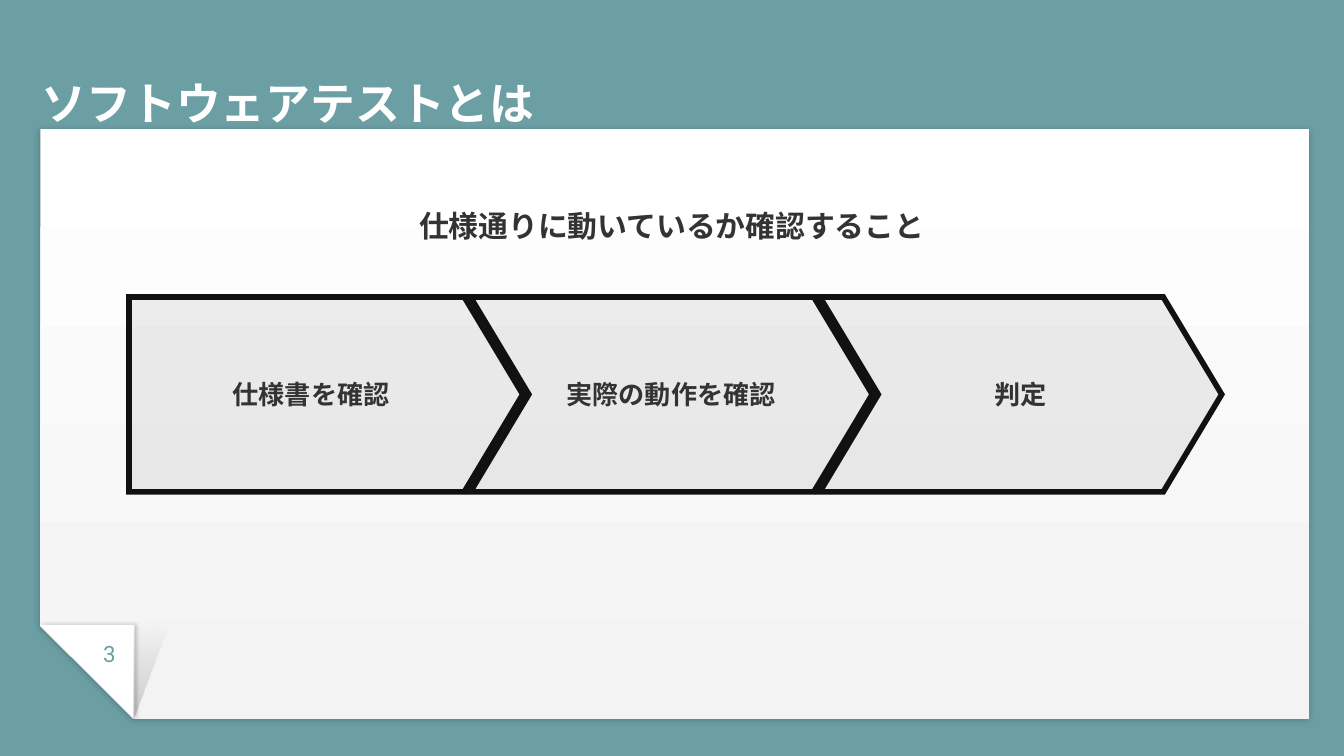
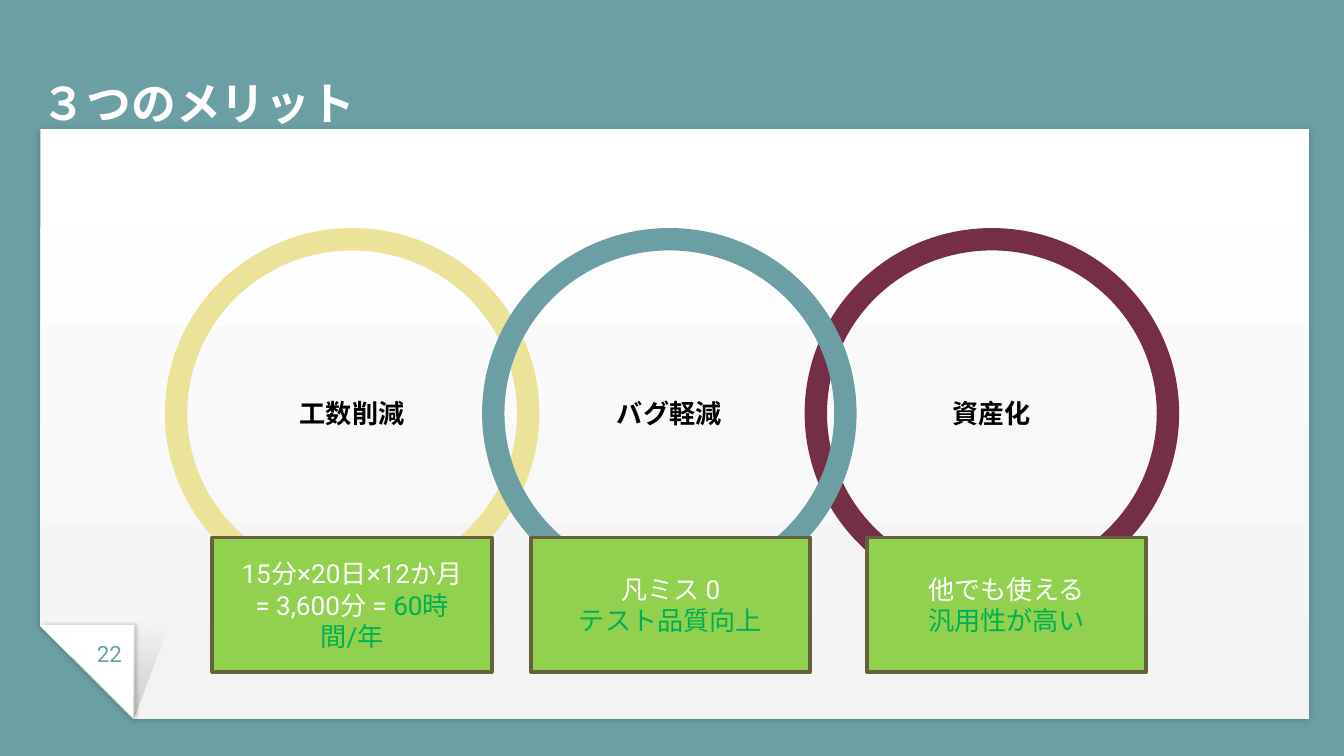
from dataclasses import dataclass

from lxml.etree import SubElement
from pptx import Presentation
from pptx.dml.color import RGBColor
from pptx.enum.shapes import MSO_SHAPE
from pptx.enum.text import MSO_ANCHOR, PP_ALIGN
from pptx.oxml.ns import qn
from pptx.util import Inches, Pt

COLS = 100                      # square grid: 100 columns across the slide
WIDE = Inches(10)
HIGH = WIDE * 9 // 16
CELL = WIDE // COLS


@dataclass(frozen=True)
class Theme:
    teal: str = "6B9FA4"
    white: str = "FFFFFF"
    pale: str = "F3F3F3"
    black: str = "000000"
    ink: str = "111111"
    text: str = "333333"
    sand: str = "EBE399"
    wine: str = "742E46"
    lime: str = "92D050"
    green: str = "00B050"
    olive: str = "65613D"
    head: str = "Noto Sans CJK JP"
    body: str = "Roboto"
    title: int = 24
    lead: int = 16
    label: int = 14
    small: int = 12


@dataclass(frozen=True)
class Box:
    x: float
    y: float
    w: float
    h: float

    def sub(self, x, y, w, h):
        """A box placed from this one's top left corner."""
        return Box(self.x + x, self.y + y, w, h)

    def emu(self):
        return [round(v * CELL) for v in (self.x, self.y, self.w, self.h)]


T = Theme()
PAPER = Box(3, 9.6, 94.4, 43.9)


# Basic parts

def rgb(code):
    return RGBColor.from_string(code)


def fade(color, share):
    """Set the opacity, in percent, of a colour element."""
    SubElement(color, qn("a:alpha"), val=str(share * 1000))


def shape(slide, kind, box, fill=None, line=None, width=0, adj=None):
    item = slide.shapes.add_shape(kind, *box.emu())
    item.shadow.inherit = False
    if adj is not None:
        item.adjustments[0] = adj
    if fill:
        item.fill.solid()
        item.fill.fore_color.rgb = rgb(fill)
    else:
        item.fill.background()
    if line:
        item.line.color.rgb = rgb(line)
        item.line.width = Pt(width)
    else:
        item.line.fill.background()
    return item


def shade(item, blur, angle):
    """Give a shape a soft black shadow."""
    effect = item.element.spPr.find(qn("a:effectLst"))
    outer = SubElement(effect, qn("a:outerShdw"), blurRad=str(Pt(blur)),
                       dist=str(Pt(0.8)), dir=str(angle * 60000), rotWithShape="0")
    fade(SubElement(outer, qn("a:srgbClr"), val=T.black), 20)


def blend(item, colors, angle):
    item.fill.gradient()
    item.fill.gradient_angle = angle
    for stop, code in zip(item.fill.gradient_stops, colors):
        stop.color.rgb = rgb(code)


def write(item, lines, size, color, font=T.body, bold=False,
          align=PP_ALIGN.CENTER, anchor=MSO_ANCHOR.MIDDLE, inset=None):
    """Fill a shape with (text, colour) lines; None means the main colour."""
    frame = item.text_frame
    frame.word_wrap = True
    frame.vertical_anchor = anchor
    if inset is not None:
        frame.margin_left = frame.margin_right = Inches(inset)
        frame.margin_top = frame.margin_bottom = Inches(inset)
    for i, line in enumerate(lines):
        para = frame.add_paragraph() if i else frame.paragraphs[0]
        para.alignment = align
        para.font.name = font
        para.font.size = Pt(size)
        para.font.bold = bold
        for words, tint in line:
            run = para.add_run()
            run.text = words
            run.font.color.rgb = rgb(tint or color)


def label(slide, box, words, size, color, **style):
    item = slide.shapes.add_textbox(*box.emu())
    write(item, [[(words, None)]], size, color, **style)


# Shared frame: paper with a folded corner, title and page number

def sheet(slide, box):
    paper = shape(slide, MSO_SHAPE.SNIP_1_RECTANGLE, box, T.white, adj=0.158)
    paper.rotation = 180
    blend(paper, (T.white, T.pale), 90)
    shade(paper, 3.4, 90)

    side = 7
    top = box.h - side
    fold = shape(slide, MSO_SHAPE.RIGHT_TRIANGLE, box.sub(0, top, side, side), T.white)
    fold.rotation = 180
    shade(fold, 2.2, 0)

    cast = shape(slide, MSO_SHAPE.RIGHT_TRIANGLE, box.sub(6.9, top, 2.6, side), T.black)
    cast.rotation = 180
    cast.element.spPr.find(qn("a:xfrm")).set("flipH", "1")
    blend(cast, (T.black, T.black), 270)
    for color, share in zip(cast.element.spPr.iter(qn("a:srgbClr")), (17, 0)):
        fade(color, share)


def page(deck, title, number):
    slide = deck.slides.add_slide(deck.slide_layouts[6])
    slide.background.fill.solid()
    slide.background.fill.fore_color.rgb = rgb(T.teal)
    sheet(slide, PAPER)
    label(slide, PAPER.sub(0.1, -5.7, 91.9, 5.7), title, T.title, T.white,
          font=T.head, bold=True, align=PP_ALIGN.LEFT,
          anchor=MSO_ANCHOR.BOTTOM, inset=0)
    label(slide, PAPER.sub(2.6, 37, 5.1, 3.4), str(number), T.small, T.teal,
          anchor=MSO_ANCHOR.TOP, inset=0.1)
    return slide


# Chain of arrows

def chain(slide, box, steps):
    step, wide, notch = 26, 29.3, 0.6
    for i, words in enumerate(steps):
        kind = MSO_SHAPE.CHEVRON if i else MSO_SHAPE.PENTAGON
        back = notch if i else 0
        item = shape(slide, kind, box.sub(i * step - back, 0, wide + back, box.h),
                     T.ink, T.ink, 3, adj=0.3)
        fade(item.fill.fore_color._xFill.find(qn("a:srgbClr"))
             if hasattr(item.fill.fore_color, "_xFill")
             else item.element.spPr.find(qn("a:solidFill"))[0], 7)
        SubElement(item.line._get_or_add_ln(), qn("a:miter"), lim="800000")
        write(item, [[(words, None)]], T.label, T.text, bold=True, inset=0.1)


# Linked rings with a note under each

def rings(slide, box, items):
    for x, words, color in items:
        ring = shape(slide, MSO_SHAPE.OVAL, box.sub(x, 0, 26.2, box.h),
                     line=color, width=12)
        write(ring, [[(words, None)]], T.label, T.black, bold=True, inset=0.1)


def notes(slide, box, items):
    for x, lines in items:
        note = shape(slide, MSO_SHAPE.RECTANGLE, box.sub(x, 0, 20.8, box.h),
                     T.lime, T.olive, 2)
        write(note, lines, T.label, T.white)


# Slides

def about(deck):
    slide = page(deck, "ソフトウェアテストとは", 3)
    chain(slide, PAPER.sub(6.6, 12.5, 81.3, 14.5),
          ["仕様書を確認", "実際の動作を確認", "判定"])
    label(slide, PAPER.sub(22, 5.4, 50, 3.7), "仕様通りに動いているか確認すること",
          T.lead, T.text, bold=True, anchor=MSO_ANCHOR.TOP)


def merits(deck):
    slide = page(deck, "３つのメリット", 22)
    # The middle ring comes last so that it lies on top
    rings(slide, PAPER.sub(10.1, 8.2, 73.8, 25.9), [
        (0, "工数削減", T.sand),
        (47.6, "資産化", T.wine),
        (23.6, "バグ軽減", T.teal),
    ])
    notes(slide, PAPER.sub(12.8, 30.4, 69.5, 10), [
        (0, [[("15分×20日×12か月", None)],
             [("= 3,600分 = ", None), ("60時間/年", T.green)]]),
        (23.7, [[("凡ミス 0", None)], [("テスト品質向上", T.green)]]),
        (48.7, [[("他でも使える", None)], [("汎用性が高い", T.green)]]),
    ])


def main():
    deck = Presentation()
    deck.slide_width, deck.slide_height = WIDE, HIGH
    about(deck)
    merits(deck)
    deck.save("out.pptx")


if __name__ == "__main__":
    main()
